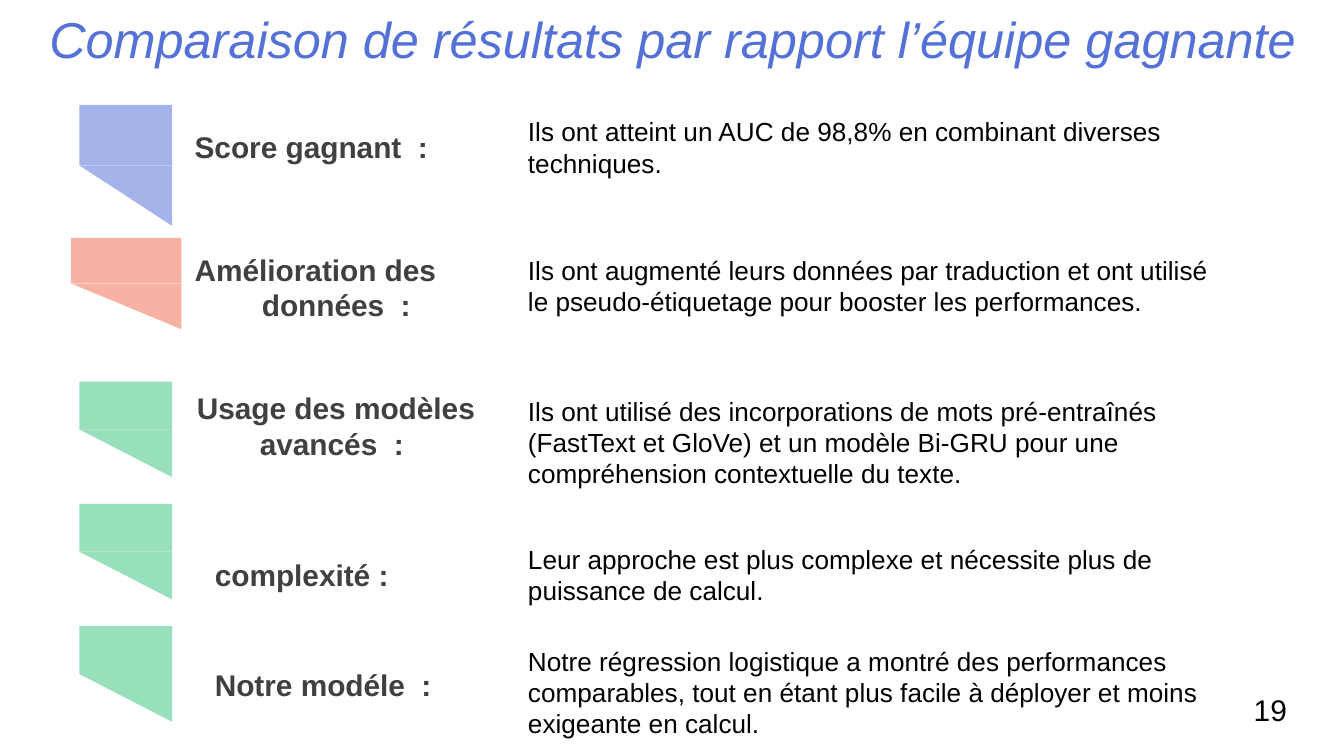
import pptx
import pptx.util
import pptx.dml.color
import pptx.enum.shapes
import pptx.enum.text

Inches = pptx.util.Inches
RGBColor = pptx.dml.color.RGBColor
PP_ALIGN = pptx.enum.text.PP_ALIGN

TITLE_BLUE = RGBColor(0x53, 0x71, 0xD7)
BLUE = RGBColor(0xA4, 0xB4, 0xEA)
CORAL = RGBColor(0xF8, 0xB2, 0xA3)
GREEN = RGBColor(0x98, 0xDF, 0xBB)
GREY = RGBColor(0x40, 0x40, 0x40)
BLACK = RGBColor(0, 0, 0)

SLIDE_WIDTH = 10
SLIDE_HEIGHT = SLIDE_WIDTH * 9 / 16
MARKER_LEFT, MARKER_WIDTH, GREEN_HEIGHT = 0.59, 0.69, 0.71
DETAIL_LEFT, DETAIL_WIDTH = 3.83, 5.41

CRITERIA = [
    {
        "marker": (MARKER_LEFT, 0.78, MARKER_WIDTH, 0.9),
        "color": BLUE,
        "label": ["Score gagnant  :"],
        "label_box": (0.85, 0.86, 3.28, 0.47),
        "indents": [0.5],
        "detail": "Ils ont atteint un AUC de 98,8% en combinant diverses techniques.",
        "detail_span": (0.76, 0.67),
    },
    {
        "marker": (0.53, 1.77, 0.82, 0.68),
        "color": CORAL,
        "label": ["Amélioration des", "données  :"],
        "label_box": (1.35, 1.77, 3.28, 0.74),
        "indents": [0, 0.5],
        "detail": "Ils ont augmenté leurs données par traduction et ont utilisé "
                  "le pseudo-étiquetage pour booster les performances.",
        "detail_span": (1.79, 0.91),
    },
    {
        "marker": (MARKER_LEFT, 2.84, MARKER_WIDTH, GREEN_HEIGHT),
        "color": GREEN,
        "label": ["Usage des modèles avancés  : "],
        "label_box": (1.02, 2.8, 2.96, 0.74),
        "align": PP_ALIGN.CENTER,
        "detail": "Ils ont utilisé des incorporations de mots pré-entraînés "
                  "(FastText et GloVe) et un modèle Bi-GRU pour une "
                  "compréhension contextuelle du texte.",
        "detail_span": (2.84, 1.14),
    },
    {
        "marker": (MARKER_LEFT, 3.75, MARKER_WIDTH, GREEN_HEIGHT),
        "color": GREEN,
        "label": ["complexité :"],
        "label_box": (1.5, 4.04, 3.28, 0.47),
        "detail": "Leur approche est plus complexe et nécessite plus de "
                  "puissance de calcul.",
        "detail_span": (3.94, 0.67),
    },
    {
        "marker": (MARKER_LEFT, 4.66, MARKER_WIDTH, GREEN_HEIGHT),
        "color": GREEN,
        "label": ["Notre modéle  :"],
        "label_box": (1.5, 4.86, 3.28, 0.47),
        "detail": "Notre régression logistique a montré des performances "
                  "comparables, tout en étant plus facile à déployer et moins "
                  "exigeante en calcul.",
        "detail_span": (4.7, 0.91),
    },
]


def add_text(slide, box, lines, size, color, bold=False, italic=False,
             align=PP_ALIGN.LEFT, indents=(), inset=0.1):
    """Write one paragraph per line in a wrapped text box."""
    frame = slide.shapes.add_textbox(*map(Inches, box)).text_frame
    frame.word_wrap = True
    frame.vertical_anchor = pptx.enum.text.MSO_ANCHOR.TOP
    frame.margin_left = frame.margin_right = Inches(0.1)
    frame.margin_top = frame.margin_bottom = Inches(inset)
    frame.text = "\n".join(lines)
    for paragraph in frame.paragraphs:
        paragraph.alignment = align
        font = paragraph.font
        font.name, font.size = "Arial", pptx.util.Pt(size)
        font.bold, font.italic = bold, italic
        font.color.rgb = color
    for paragraph, indent in zip(frame.paragraphs, indents):
        properties = paragraph._p.get_or_add_pPr()
        properties.set("marL", "0")
        properties.set("indent", str(Inches(indent)))


def add_marker(slide, box, color):
    """Stack a rectangle and a slanted tip, each half the box high."""
    left, top, width, height = box
    half = height / 2
    kinds = pptx.enum.shapes.MSO_SHAPE
    group = slide.shapes.add_group_shape()
    body, tip = [
        group.shapes.add_shape(kind, *map(Inches, (left, y, width, half)))
        for kind, y in ((kinds.RECTANGLE, top),
                        (kinds.ISOSCELES_TRIANGLE, top + half))
    ]
    tip.adjustments[0] = 0
    tip.rotation = 180
    for part in (body, tip):
        part.shadow.inherit = False
        part.fill.solid()
        part.fill.fore_color.rgb = color
        part.line.fill.background()


def add_criterion(slide, criterion):
    """Place the marker, label and detail of one criterion."""
    add_marker(slide, criterion["marker"], criterion["color"])
    add_text(slide, criterion["label_box"], criterion["label"], 16, GREY,
             bold=True, align=criterion.get("align", PP_ALIGN.LEFT),
             indents=criterion.get("indents", ()))
    top, height = criterion["detail_span"]
    add_text(slide, (DETAIL_LEFT, top, DETAIL_WIDTH, height),
             [criterion["detail"]], 14, BLACK)


def main():
    """Build the comparison slide and save it."""
    presentation = pptx.Presentation()
    presentation.slide_width = Inches(SLIDE_WIDTH)
    presentation.slide_height = Inches(SLIDE_HEIGHT)
    slide = presentation.slides.add_slide(presentation.slide_layouts[6])
    add_text(slide, (0.18, 0, 9.65, 0.71),
             ["Comparaison de résultats par rapport l’équipe gagnante"],
             27, TITLE_BLUE, italic=True, align=PP_ALIGN.CENTER, inset=0.06)
    for criterion in CRITERIA:
        add_criterion(slide, criterion)
    add_text(slide, (9.23, 5.1, 0.69, 0.37), ["19"], 16, BLACK, inset=0.05)
    presentation.save("out.pptx")


if __name__ == "__main__":
    main()
